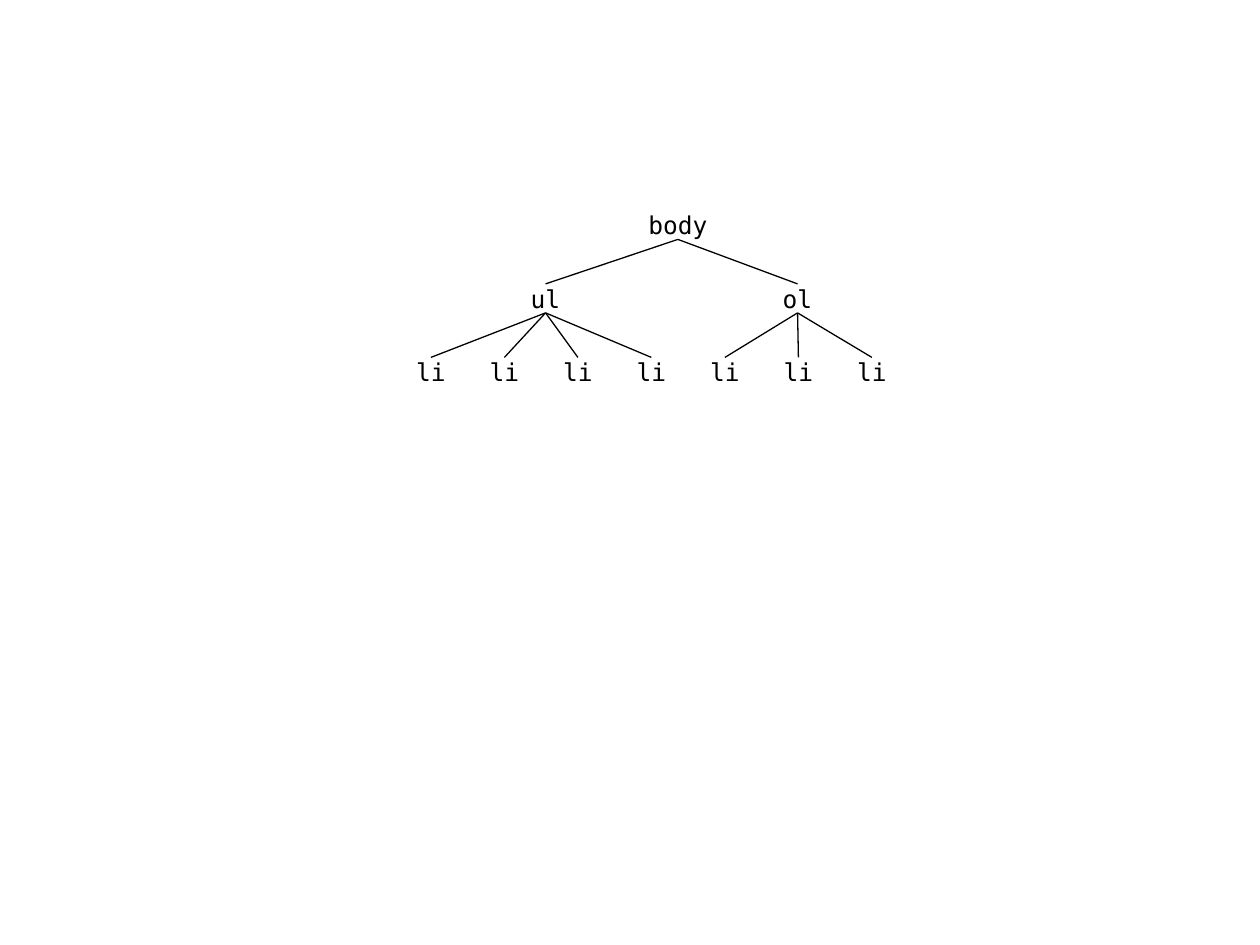
from lxml import etree
from pptx import Presentation
from pptx.dml.color import RGBColor
from pptx.enum.shapes import MSO_CONNECTOR
from pptx.enum.text import MSO_AUTO_SIZE, PP_ALIGN
from pptx.oxml.ns import qn
from pptx.util import Inches, Pt

BLACK = RGBColor(0, 0, 0)
FONT = "DejaVu Sans Mono"
LINE = MSO_CONNECTOR.STRAIGHT
CENTER = PP_ALIGN.CENTER
GROW = MSO_AUTO_SIZE.SHAPE_TO_FIT_TEXT

STEP = 7 / 12
TOP = 1.67
LEFT = 3.42
HIGH = 0.23
WIDE = 0.5
ROOT_WIDE = 0.58
ROOT_X = 5.38
LISTS = [("ul", 4.33, range(4)), ("ol", 6.33, range(4, 7))]


def row_top(level):
    return TOP + level * STEP


def add_node(slide, text, x, level, wide=WIDE):
    box = slide.shapes.add_textbox(
        Inches(x - wide / 2), Inches(row_top(level)), Inches(wide), Inches(HIGH))
    frame = box.text_frame
    frame.margin_left = frame.margin_right = 0
    frame.margin_top = frame.margin_bottom = 0
    frame.word_wrap = True
    frame.auto_size = GROW
    para = frame.paragraphs[0]
    para.text = text
    para.alignment = CENTER
    para.font.name = FONT
    para.font.size = Pt(14)
    para.font.color.rgb = BLACK


def add_edge(slide, start, end, level):
    edge = slide.shapes.add_connector(
        LINE, Inches(start), Inches(row_top(level) + HIGH),
        Inches(end), Inches(row_top(level + 1)))
    edge.line.color.rgb = BLACK
    edge.line.width = Pt(0.75)
    etree.SubElement(edge._element.spPr, qn("a:effectLst"))


def main():
    deck = Presentation()
    deck.slide_width = Inches(10)
    deck.slide_height = Inches(7.5)
    slide = deck.slides.add_slide(deck.slide_layouts[6])
    add_node(slide, "body", ROOT_X, 0, ROOT_WIDE)
    for tag, x, slots in LISTS:
        add_node(slide, tag, x, 1)
        add_edge(slide, ROOT_X, x, 0)
        for slot in slots:
            leaf = LEFT + slot * STEP
            add_node(slide, "li", leaf, 2)
            add_edge(slide, x, leaf, 1)
    deck.save("out.pptx")


if __name__ == "__main__":
    main()
